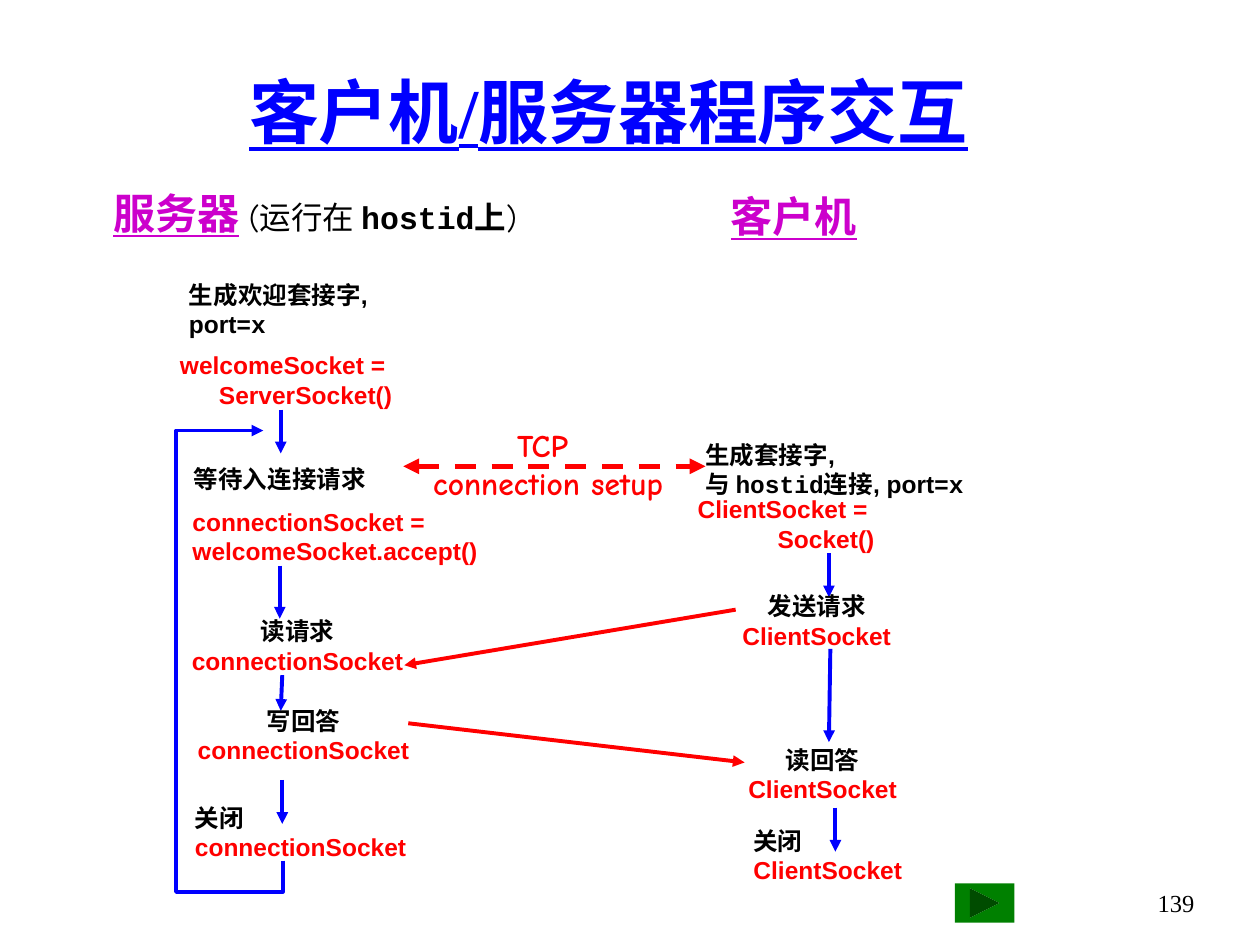
from dataclasses import dataclass
from typing import Optional

from lxml.etree import SubElement
from pptx import Presentation
from pptx.dml.color import RGBColor as RGB
from pptx.enum.dml import MSO_LINE
from pptx.enum.shapes import MSO_CONNECTOR as CONN, MSO_SHAPE as SHAPE
from pptx.enum.text import MSO_ANCHOR as ANCHOR, MSO_AUTO_SIZE as AUTO, PP_ALIGN as ALIGN
from pptx.oxml.ns import qn
from pptx.util import Cm, Pt


@dataclass(frozen=True)
class Theme:
    """Colours, fonts and sizes of the slide."""
    black: RGB = RGB(0, 0, 0)
    blue: RGB = RGB(0, 0, 255)
    red: RGB = RGB(255, 0, 0)
    purple: RGB = RGB(204, 0, 204)
    green: RGB = RGB(0, 128, 0)
    sans: str = "Arial"
    serif: str = "Times New Roman"
    comic: str = "Comic Neue"
    mono: str = "Courier New"
    title: int = 40
    heading: int = 24
    note: int = 18
    body: int = 14
    line: float = 2.25
    thick: float = 3


T = Theme()


@dataclass(frozen=True)
class Run:
    """A piece of text with its format."""
    text: str
    color: RGB = T.black
    font: str = T.sans
    size: int = T.body
    bold: bool = True
    underline: bool = False


@dataclass(frozen=True)
class Label:
    """A text box whose lines are tuples of runs."""
    x: float
    y: float
    w: float
    lines: tuple
    align: ALIGN = ALIGN.LEFT
    h: float = 1.45


@dataclass(frozen=True)
class Arrow:
    """A straight arrow between two points."""
    x1: float
    y1: float
    x2: float
    y2: float
    color: RGB = T.blue
    width: float = T.line
    dash: Optional[MSO_LINE] = None
    double: bool = False


def add_run(p, text: str, *, color: RGB, font: str, size: float,
            bold: bool = False, underline: bool = False) -> None:
    """Append a formatted run to a paragraph."""
    r = p.add_run()
    r.text = text
    f = r.font
    f.name, f.size, f.bold, f.underline = font, Pt(size), bold, underline
    f.color.rgb = color


def write(tf, lines: tuple, align: ALIGN) -> None:
    """Fill a text frame with lines of runs."""
    for i, line in enumerate(lines):
        p = tf.add_paragraph() if i else tf.paragraphs[0]
        p.alignment = align
        for run in line:
            add_run(p, run.text, color=run.color, font=run.font, size=run.size,
                    bold=run.bold, underline=run.underline)


def add_label(s, label: Label, wrap: bool = False) -> None:
    """Draw a text box; an unwrapped one fits its text."""
    tf = s.shapes.add_textbox(Cm(label.x), Cm(label.y), Cm(label.w), Cm(label.h)).text_frame
    tf.word_wrap = wrap
    tf.auto_size = AUTO.NONE if wrap else AUTO.SHAPE_TO_FIT_TEXT
    tf.vertical_anchor = ANCHOR.TOP if wrap else ANCHOR.MIDDLE
    write(tf, label.lines, label.align)


def style_line(sp, color: RGB, width: float, ends: tuple) -> None:
    """Set the colour, width and arrowheads of an outline."""
    sp.line.color.rgb = color
    sp.line.width = Pt(width)
    for end in ends:
        SubElement(sp.line._get_or_add_ln(), qn(f"a:{end}"), type="triangle")


def add_arrow(s, arrow: Arrow) -> None:
    """Draw a straight arrow."""
    sp = s.shapes.add_connector(CONN.STRAIGHT, Cm(arrow.x1), Cm(arrow.y1),
                                Cm(arrow.x2), Cm(arrow.y2))
    if arrow.dash:
        sp.line.dash_style = arrow.dash
    style_line(sp, arrow.color, arrow.width,
               ("headEnd", "tailEnd") if arrow.double else ("tailEnd",))
    SubElement(sp._element.spPr, qn("a:effectLst"))


def add_loop(s, points: list) -> None:
    """Draw an open path that ends in an arrowhead."""
    start, *rest = [(Cm(x), Cm(y)) for x, y in points]
    fb = s.shapes.build_freeform(*start)
    fb.add_line_segments(rest, close=False)
    sp = fb.convert_to_shape()
    sp.fill.background()
    style_line(sp, T.blue, T.line, ("tailEnd",))
    sp.shadow.inherit = False


def add_button(s, x: float, y: float, w: float, h: float) -> None:
    """Draw the forward button."""
    sp = s.shapes.add_shape(SHAPE.ACTION_BUTTON_FORWARD_OR_NEXT, Cm(x), Cm(y), Cm(w), Cm(h))
    sp.fill.solid()
    sp.fill.fore_color.rgb = T.green
    sp.line.fill.background()
    sp.shadow.inherit = False


def code(*texts: str) -> tuple:
    """Return red lines of code."""
    return tuple((Run(t, T.red),) for t in texts)


def step(action: str, socket: str) -> tuple:
    """Return a black action above a red socket name."""
    return ((Run(action),), *code(socket))


def heading(text: str) -> Run:
    """Return a run in the style of a column heading."""
    return Run(text, T.purple, T.comic, T.heading, underline=True)


SERVER, CLIENT = "connectionSocket", "ClientSocket"
X = Run("x", font=T.mono)
LABELS = [
    Label(1.63, 3.66, 9.45, ((
        heading("服务器"), Run(" ", font=T.comic, size=T.heading, bold=False),
        Run("(运行在 ", font=T.comic, size=T.note, bold=False),
        Run("hostid上", font=T.mono, size=T.note),
        Run(")", font=T.comic, size=T.note, bold=False)),), ALIGN.CENTER, 1.27),
    Label(14.48, 3.71, 3.05, ((heading("客户机"),),), ALIGN.CENTER, 1.27),
    Label(3.56, 5.51, 4.4, ((Run("生成欢迎套接字,"),), (Run("port="), X))),
    Label(3.16, 6.93, 5, code("welcomeSocket = ", "ServerSocket()"), ALIGN.RIGHT),
    Label(3.66, 9.22, 4.4, ((Run("等待入连接请求"),),), h=0.86),
    Label(3.63, 10.08, 6.7, code("connectionSocket =", "welcomeSocket.accept()")),
    Label(3.51, 12.29, 4.98, step("读请求", SERVER), ALIGN.CENTER),
    Label(3.63, 14.1, 4.98, step("写回答", SERVER), ALIGN.CENTER),
    Label(3.68, 16.05, 5, step("关闭", SERVER)),
    Label(13.97, 8.74, 6.4, ((Run("生成套接字,"),), (
        Run("与 "), Run("hostid连接", font=T.mono), Run(", port="), X))),
    Label(13.58, 9.83, 4.3, code("ClientSocket = ", "Socket()"), ALIGN.RIGHT),
    Label(14.61, 11.79, 3.71, step("发送请求", CLIENT), ALIGN.CENTER),
    Label(14.73, 14.88, 3.71, step("读回答", CLIENT), ALIGN.CENTER),
    Label(14.94, 16.51, 3.7, step("关闭", CLIENT)),
    Label(8.15, 8.46, 5.8, tuple((Run(t, T.red, T.comic, T.note),)
                                 for t in ("TCP ", "connection setup")), ALIGN.CENTER, 1.78),
]
PAGE = Label(23.06, 17.78, 1.27, ((Run("139", font=T.serif, bold=False),),), ALIGN.RIGHT, 1.27)
ARROWS = [
    Arrow(5.66, 8.26, 5.66, 9.14),
    Arrow(5.64, 11.4, 5.64, 12.47),
    Arrow(5.69, 13.61, 5.66, 14.33),
    Arrow(5.69, 15.72, 5.69, 16.61),
    Arrow(16.71, 11.15, 16.71, 12.04),
    Arrow(16.74, 13.08, 16.71, 14.96),
    Arrow(16.84, 16.28, 16.84, 17.17),
    Arrow(14.83, 12.29, 8.15, 13.41, T.red),
    Arrow(8.23, 14.58, 15.01, 15.37, T.red),
    Arrow(8.13, 9.4, 14.22, 9.4, T.red, T.thick, MSO_LINE.DASH, True),
]
LOOP = [(5.7, 17.35), (5.7, 17.98), (3.55, 17.98), (3.55, 8.68), (5.31, 8.68)]


def main() -> None:
    """Build and save the slide."""
    prs = Presentation()
    prs.slide_width, prs.slide_height = Cm(25.4), Cm(19.05)
    s = prs.slides.add_slide(prs.slide_layouts[5])
    title = s.shapes.title
    title.left, title.top, title.width, title.height = Cm(1.47), Cm(0.64), Cm(21.59), Cm(3.18)
    title.text_frame.auto_size = AUTO.NONE
    title.text_frame.vertical_anchor = ANCHOR.MIDDLE
    write(title.text_frame, ((Run("客户机/服务器程序交互", T.blue, T.serif, T.title,
                                  underline=True),),), ALIGN.CENTER)
    for arrow in ARROWS:
        add_arrow(s, arrow)
    add_loop(s, LOOP)
    for label in LABELS:
        add_label(s, label)
    add_button(s, 19.25, 17.81, 1.2, 0.79)
    add_label(s, PAGE, wrap=True)
    prs.save("out.pptx")


if __name__ == "__main__":
    main()
